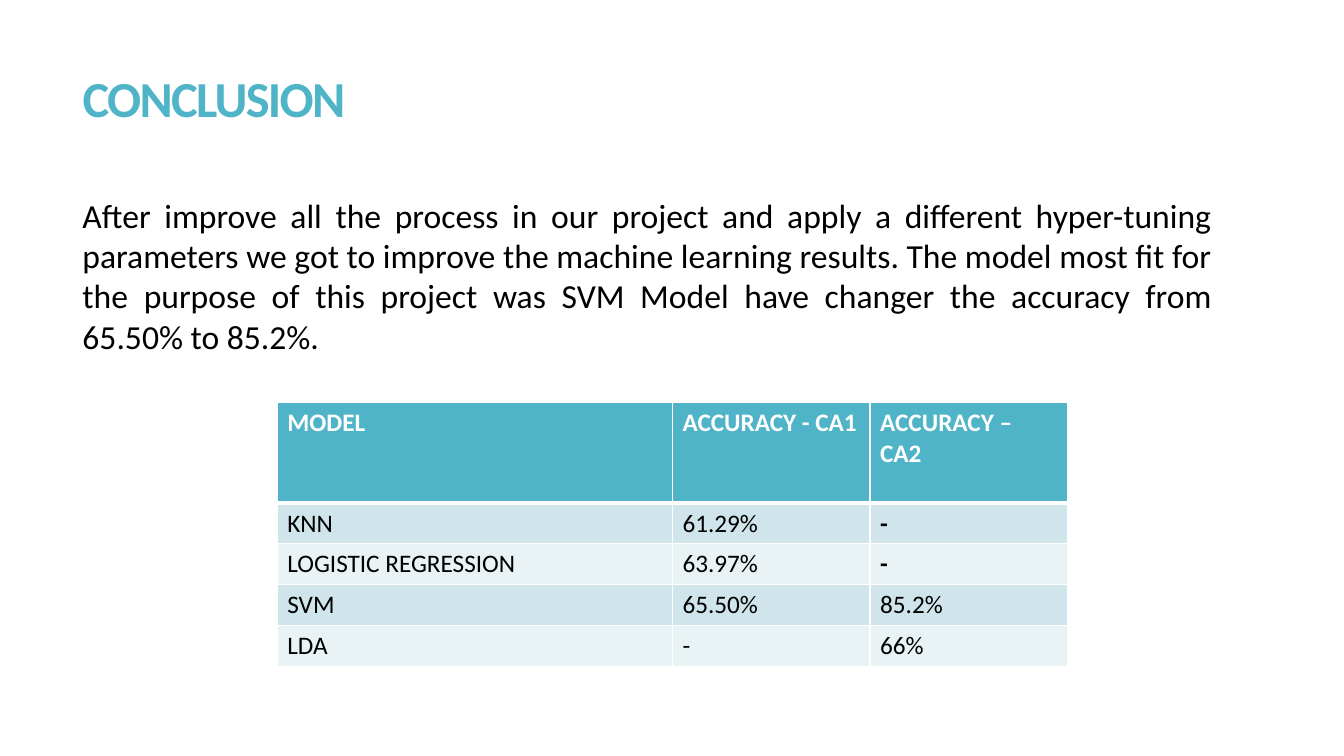
from lxml import etree
from pptx import Presentation
from pptx.dml.color import RGBColor
from pptx.enum.text import MSO_ANCHOR, MSO_AUTO_SIZE, PP_ALIGN
from pptx.oxml.ns import qn
from pptx.util import Pt

PX = 9144
MIDDLE = MSO_ANCHOR.MIDDLE
TOP = MSO_ANCHOR.TOP
GROW = MSO_AUTO_SIZE.SHAPE_TO_FIT_TEXT
FIXED = MSO_AUTO_SIZE.NONE
LEFT = PP_ALIGN.LEFT
JUSTIFY = PP_ALIGN.JUSTIFY

TEAL = "50B4C8"
WHITE = "FFFFFF"
BLACK = "000000"
BANDS = ("D0E5EB", "E9F2F5")

CONCLUSION = (
    "After improve all the process in our project and apply a different "
    "hyper-tuning parameters we got to improve the machine learning results. "
    "The model most fit for the purpose of this project was SVM Model have "
    "changer the accuracy from 65.50% to 85.2%."
)
HEADINGS = ("MODEL", "ACCURACY - CA1", "ACCURACY – CA2")
RESULTS = (
    ("KNN", "61.29%", "-"),
    ("LOGISTIC REGRESSION", "63.97%", "-"),
    ("SVM", "65.50%", "85.2%"),
    ("LDA", "-", "66%"),
)
BOLD_CELLS = {(1, 2), (2, 2)}
COLUMN_WIDTHS = (392, 196, 196)
HEADER_HEIGHT = 100
ROW_HEIGHT = 40


def px(*lengths):
    return [length * PX for length in lengths]


def color(value):
    return RGBColor.from_string(value)


def set_attributes(target, values):
    for name, value in values.items():
        setattr(target, name, value)


def write_text(frame, text, size, text_color, bold=False, **paragraph_format):
    paragraph = frame.paragraphs[0]
    set_attributes(paragraph, paragraph_format)
    run = paragraph.add_run()
    run.text = text
    set_attributes(run.font, {"name": "Calibri", "size": Pt(size), "bold": bold})
    run.font.color.rgb = color(text_color)
    return run


def add_text(slide, box, text, size, text_color, frame_format, **text_format):
    frame = slide.shapes.add_textbox(*px(*box)).text_frame
    set_attributes(frame, {"word_wrap": True, **frame_format})
    return write_text(frame, text, size, text_color, **text_format)


def set_borders(cell, widths):
    properties = cell._tc.get_or_add_tcPr()
    for position, (side, width) in enumerate(widths.items()):
        line = etree.Element(qn(f"a:ln{side}"), w=str(Pt(width)))
        fill = etree.SubElement(line, qn("a:solidFill"))
        etree.SubElement(fill, qn("a:srgbClr"), val=WHITE)
        properties.insert(position, line)


def add_results_table(slide, left, top):
    rows = (HEADINGS, *RESULTS)
    height = HEADER_HEIGHT + ROW_HEIGHT * len(RESULTS)
    box = px(left, top, sum(COLUMN_WIDTHS), height)
    table = slide.shapes.add_table(len(rows), len(HEADINGS), *box).table
    for column, width in zip(table.columns, COLUMN_WIDTHS):
        column.width = width * PX
    for row_index, values in enumerate(rows):
        header = row_index == 0
        table.rows[row_index].height = (HEADER_HEIGHT if header else ROW_HEIGHT) * PX
        fill_color = TEAL if header else BANDS[(row_index - 1) % 2]
        for column_index, value in enumerate(values):
            cell = table.cell(row_index, column_index)
            cell.fill.solid()
            cell.fill.fore_color.rgb = color(fill_color)
            bold = header or (row_index, column_index) in BOLD_CELLS
            write_text(cell.text_frame, value, 18, WHITE if header else BLACK, bold)
            top_width = 3 if row_index == 1 else 1
            bottom_width = 3 if header else 1
            set_borders(cell, {"L": 1, "R": 1, "T": top_width, "B": bottom_width})


def main():
    presentation = Presentation()
    presentation.slide_width, presentation.slide_height = px(1333, 750)
    slide = presentation.slides.add_slide(presentation.slide_layouts[6])

    title = add_text(
        slide, (72, 55, 1178, 92), "CONCLUSION", 36, TEAL,
        {"vertical_anchor": MIDDLE, "auto_size": FIXED},
        bold=True, alignment=LEFT, line_spacing=0.85,
    )
    title.font._element.set("spc", "-120")
    add_results_table(slide, 275, 399)
    add_text(
        slide, (72, 188, 1140, 172), CONCLUSION, 24, BLACK,
        {"vertical_anchor": TOP, "auto_size": GROW}, alignment=JUSTIFY,
    )
    presentation.save("out.pptx")


if __name__ == "__main__":
    main()
